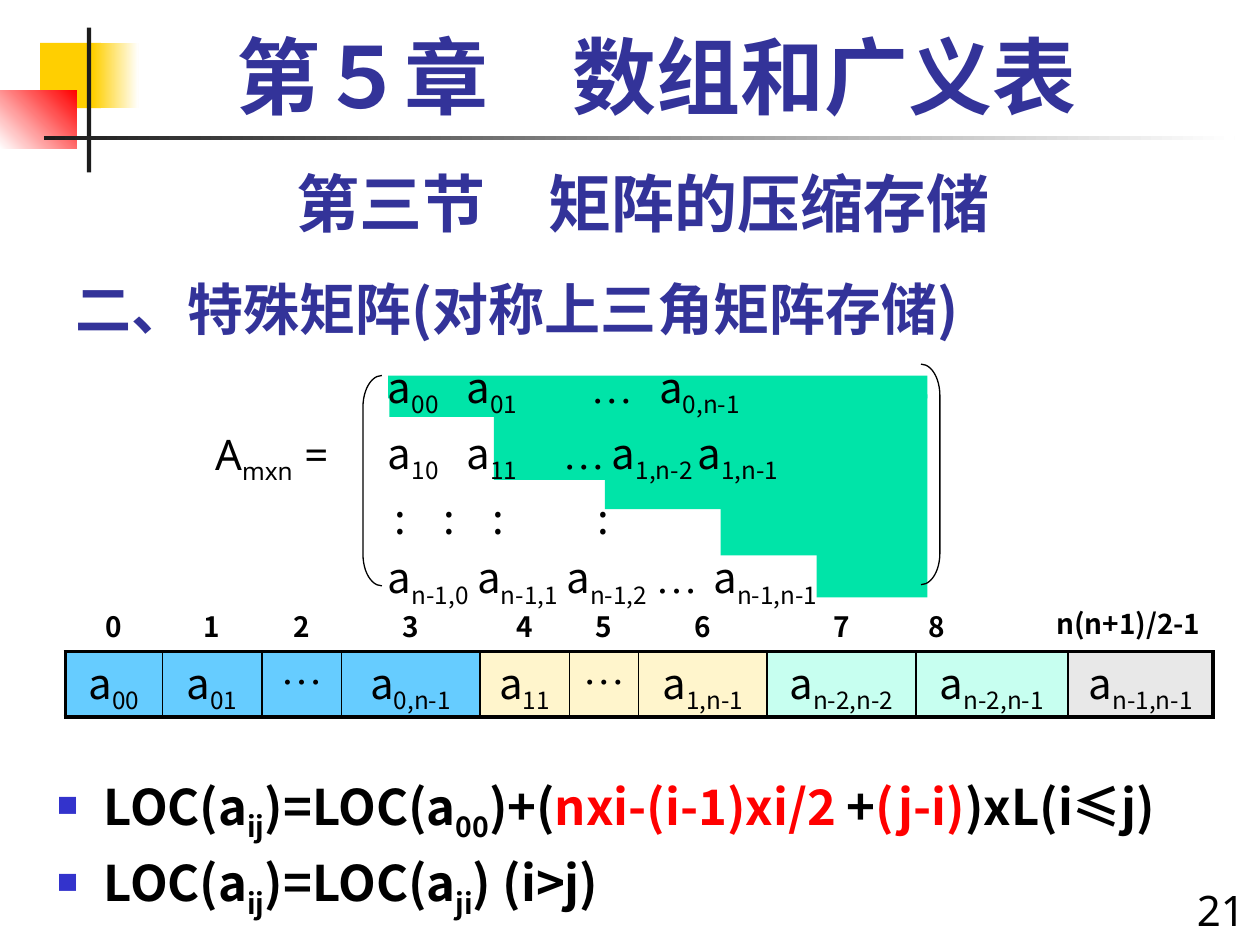
from dataclasses import dataclass
from itertools import groupby
from typing import NamedTuple

from lxml import etree
from pptx import Presentation
from pptx.dml.color import RGBColor
from pptx.enum import shapes, text
from pptx.oxml import ns
from pptx.util import Pt


@dataclass(frozen=True)
class Theme:
    ink: str = "000000"
    heading: str = "333399"
    bullet: str = "3333CC"
    accent: str = "FF0000"
    dark: str = "1C1C1C"
    yellow: str = "FFCF01"
    white: str = "FFFFFF"
    stair: str = "00E4A8"
    first_row: str = "66CCFF"
    second_row: str = "FFF5CC"
    later_row: str = "C7FFF0"
    last_row: str = "E8E8E8"
    sans: str = "Noto Sans"
    cjk: str = "Noto Sans CJK SC"
    serif: str = "Times New Roman"
    chapter_size: float = 48
    section_size: float = 36
    topic_size: float = 32
    formula_size: float = 28
    element_size: float = 24
    index_size: float = 16


THEME = Theme()


class Box(NamedTuple):
    left: float
    top: float
    width: float
    height: float


class Style(NamedTuple):
    size: float
    font: str = THEME.cjk
    color: str = THEME.ink
    bold: bool = False


class Layout(NamedTuple):
    align: text.PP_ALIGN = text.PP_ALIGN.LEFT
    line: float | None = None
    before: int = 0
    hanging: bool = False
    bullet: bool = False
    tabs: tuple = ()


class Phrase(NamedTuple):
    words: str
    color: str = THEME.ink


class Panel(NamedTuple):
    box: Box
    fill: str
    fade_to: str | None = None
    angle: float = 0


class Slot(NamedTuple):
    width: float
    index: str
    element: str
    fill: str


def child(parent, tag: str, **attributes):
    return etree.SubElement(parent, ns.qn(tag), **attributes)


def place(box: Box) -> list:
    return [Pt(length) for length in box]


def add_run(paragraph, words: str, style: Style, subscript: bool) -> None:
    run = paragraph.add_run()
    run.text = words
    run.font.size = Pt(style.size)
    run.font.name = style.font
    run.font.bold = style.bold
    run.font.color.rgb = RGBColor.from_string(style.color)
    properties = run._r.get_or_add_rPr()
    child(properties, "a:ea", typeface=THEME.cjk)
    if subscript:
        properties.set("baseline", "-25000")


def write(paragraph, marked: str, style: Style) -> None:
    for part, words in enumerate(marked.replace("}", "{").split("{")):
        for dots, letters in groupby(words, lambda letter: letter == "…"):
            face = style._replace(font=THEME.serif) if dots else style
            add_run(paragraph, "".join(letters), face, part % 2 == 1)


def arrange(paragraph, layout: Layout) -> None:
    paragraph.alignment = layout.align
    if layout.line:
        paragraph.line_spacing = layout.line
    properties = paragraph._p.get_or_add_pPr()
    if layout.hanging:
        properties.set("marL", str(Pt(27)))
        properties.set("indent", str(Pt(-27)))
    if layout.before:
        before = child(properties, "a:spcBef")
        child(before, "a:spcPct", val=str(layout.before * 1000))
    if layout.bullet:
        child(child(properties, "a:buClr"), "a:srgbClr", val=THEME.bullet)
        child(properties, "a:buSzPct", val="60000")
        child(properties, "a:buChar", char="■")
    if layout.tabs:
        stops = child(properties, "a:tabLst")
        for stop in layout.tabs:
            child(stops, "a:tab", pos=str(Pt(stop)), algn="l")


def add_text(parent, box: Box, lines: list, style: Style,
             anchor=text.MSO_ANCHOR.TOP) -> None:
    frame = parent.add_textbox(*place(box)).text_frame
    frame.word_wrap = True
    frame.vertical_anchor = anchor
    for number, (phrases, layout) in enumerate(lines):
        paragraph = frame.add_paragraph() if number else frame.paragraphs[0]
        arrange(paragraph, layout)
        for phrase in phrases:
            write(paragraph, phrase.words, style._replace(color=phrase.color))


def add_line(parent, box: Box, words: str, style: Style, layout=Layout(), **options) -> None:
    add_text(parent, box, [([Phrase(words, style.color)], layout)], style, **options)


def add_panel(parent, panel: Panel) -> None:
    block = parent.add_shape(shapes.MSO_SHAPE.RECTANGLE, *place(panel.box))
    block.shadow.inherit = False
    block.line.fill.background()
    if panel.fade_to is None:
        block.fill.solid()
        block.fill.fore_color.rgb = RGBColor.from_string(panel.fill)
        return
    block.fill.gradient()
    block.fill.gradient_angle = panel.angle
    for stop, color in zip(block.fill.gradient_stops, (panel.fill, panel.fade_to)):
        stop.color.rgb = RGBColor.from_string(color)


def add_bracket(parent, box: Box, flipped: bool) -> None:
    bracket = parent.add_shape(shapes.MSO_SHAPE.LEFT_BRACKET, *place(box))
    bracket.shadow.inherit = False
    bracket.fill.background()
    bracket.line.color.rgb = RGBColor.from_string(THEME.ink)
    bracket.line.width = Pt(0.75)
    bracket.adjustments[0] = 18 / box.width
    if flipped:
        bracket._element.spPr.get_or_add_xfrm().set("flipH", "1")


def fill_cell(cell, words: str, style: Style, layout: Layout,
              fill: str | None, borders: dict) -> None:
    cell.margin_top = cell.margin_bottom = 0
    arrange(cell.text_frame.paragraphs[0], layout)
    if words:
        write(cell.text_frame.paragraphs[0], words, style)
    properties = cell._tc.get_or_add_tcPr()
    for side in ("L", "R", "T", "B"):
        width = borders.get(side, 0)
        edge = child(properties, f"a:ln{side}", w=str(Pt(width)))
        if width:
            child(child(edge, "a:solidFill"), "a:srgbClr", val=THEME.ink)
        else:
            child(edge, "a:noFill")
    if fill:
        cell.fill.solid()
        cell.fill.fore_color.rgb = RGBColor.from_string(fill)
    else:
        cell.fill.background()


def add_storage(parent, left: float, top: float, slots: list[Slot]) -> None:
    heights = (24.5, 37.4)
    size = Box(left, top, sum(slot.width for slot in slots), sum(heights))
    table = parent.add_table(2, len(slots), *place(size)).table
    table.first_row = table.horz_banding = False
    for row, height in zip(table.rows, heights):
        row.height = Pt(height)
    table.cell(0, 9).merge(table.cell(0, 10))
    table.cell(1, 8).merge(table.cell(1, 9))
    centred = Layout(text.PP_ALIGN.CENTER, 0.9)
    last = len(slots) - 1
    for column, slot in enumerate(slots):
        table.columns[column].width = Pt(slot.width)
        index_layout = Layout(text.PP_ALIGN.RIGHT, 0.8) if column == 9 else centred
        fill_cell(table.cell(0, column), slot.index, Style(THEME.index_size, bold=True),
                  index_layout, None, {"B": 1.5})
        edges = {"L": 1 if column else 2.25, "R": 2.25 if column == last else 1,
                 "T": 1.5, "B": 2.25}
        fill_cell(table.cell(1, column), slot.element, Style(THEME.element_size),
                  centred, slot.fill, edges)


def main() -> None:
    deck = Presentation()
    deck.slide_width, deck.slide_height = Pt(720), Pt(540)
    canvas = deck.slides.add_slide(deck.slide_layouts[6]).shapes

    for panel in (
        Panel(Box(23, 24.5, 34.6, 37.4), THEME.yellow),
        Panel(Box(53.3, 24.5, 25.9, 37.4), THEME.yellow, THEME.white),
        Panel(Box(0, 51.8, 43.9, 33.1), THEME.white, THEME.accent, 45),
        Panel(Box(49.7, 15.8, 2.5, 82.8), THEME.dark),
        Panel(Box(25.2, 77.8, 680.4, 2.5), THEME.dark, THEME.white),
    ):
        add_panel(canvas, panel)

    centre = text.PP_ALIGN.CENTER
    add_line(canvas, Box(36, 144.7, 571.7, 54), "二、特殊矩阵(对称上三角矩阵存储)",
             Style(THEME.topic_size, THEME.cjk, THEME.heading, True),
             anchor=text.MSO_ANCHOR.BOTTOM)
    add_line(canvas, Box(670.3, 501.8, 48.2, 36), "21", Style(THEME.element_size, THEME.sans),
             Layout(text.PP_ALIGN.RIGHT, before=50))
    add_line(canvas, Box(34.6, 90.7, 666, 50.4), "第三节　矩阵的压缩存储",
             Style(THEME.section_size, THEME.sans, THEME.heading, True),
             Layout(centre, before=50))
    formula = Layout(before=20, hanging=True, bullet=True)
    add_text(canvas, Box(25.2, 439.9, 694.8, 82.8), [
        ([Phrase("LOC(a{ij})=LOC(a{00})+("), Phrase("nxi-(i-1)xi/2 ", THEME.accent),
          Phrase("+"), Phrase("(j-i)", THEME.accent), Phrase(")xL(i≤j)")], formula),
        ([Phrase("LOC(a{ij})=LOC(a{ji}) (i>j)")], formula),
    ], Style(THEME.formula_size, bold=True))
    add_line(canvas, Box(48.2, 17.3, 653.8, 59.8), "第５章　数组和广义表",
             Style(THEME.chapter_size, THEME.serif, THEME.heading, True),
             Layout(centre, 0.9, 20, hanging=True))

    add_storage(canvas, 37.4, 347.8, [
        Slot(55.4, "0", "a{00}", THEME.first_row),
        Slot(56.9, "1", "a{01}", THEME.first_row),
        Slot(45.4, "2", "…", THEME.first_row),
        Slot(79.2, "3", "a{0,n-1}", THEME.first_row),
        Slot(51.1, "4", "a{11}", THEME.second_row),
        Slot(39.6, "5", "…", THEME.second_row),
        Slot(73.4, "6", "a{1,n-1}", THEME.second_row),
        Slot(85, "7", "a{n-2,n-2}", THEME.later_row),
        Slot(17.3, "8", "a{n-2,n-1}", THEME.later_row),
        Slot(69.8, "n(n+1)/2-1", "", THEME.later_row),
        Slot(82.8, "", "a{n-1,n-1}", THEME.last_row),
    ])

    matrix = canvas.add_group_shape().shapes
    for step in (
        Box(466.6, 225.4, 63.4, 115.9), Box(411.8, 226.1, 57.6, 91.4),
        Box(345.6, 227.5, 68.4, 63.4), Box(222.5, 226.1, 59.8, 12.2),
        Box(282.2, 226.1, 67, 48.2), Box(221.8, 214.6, 308.2, 13),
    ):
        add_panel(matrix, Panel(step, THEME.stair))
    add_bracket(matrix, Box(207.4, 214.6, 10.8, 120.2), False)
    add_bracket(matrix, Box(526.3, 208.1, 10.8, 126), True)
    rows = (
        ("a{00}\ta{01}\t…\ta{0,n-1}", (45, 116, 155)),
        ("a{10}\ta{11}\t…\ta{1,n-2}\ta{1,n-1}", (45, 100, 128, 177)),
        ("\t:\t:\t:\t:", (4, 32, 60, 120)),
        ("a{n-1,0}\ta{n-1,1}\ta{n-1,2}\t…\ta{n-1,n-1}", (51, 102, 153, 186)),
    )
    add_text(matrix, Box(214.6, 203, 322.6, 141.1),
             [([Phrase(words)], Layout(before=20, tabs=tabs)) for words, tabs in rows],
             Style(THEME.element_size))
    add_line(matrix, Box(115.9, 241.2, 97.9, 36), "A{mxn}\t=",
             Style(THEME.element_size, THEME.sans), Layout(before=50, tabs=(51,)))
    deck.save("out.pptx")


if __name__ == "__main__":
    main()
